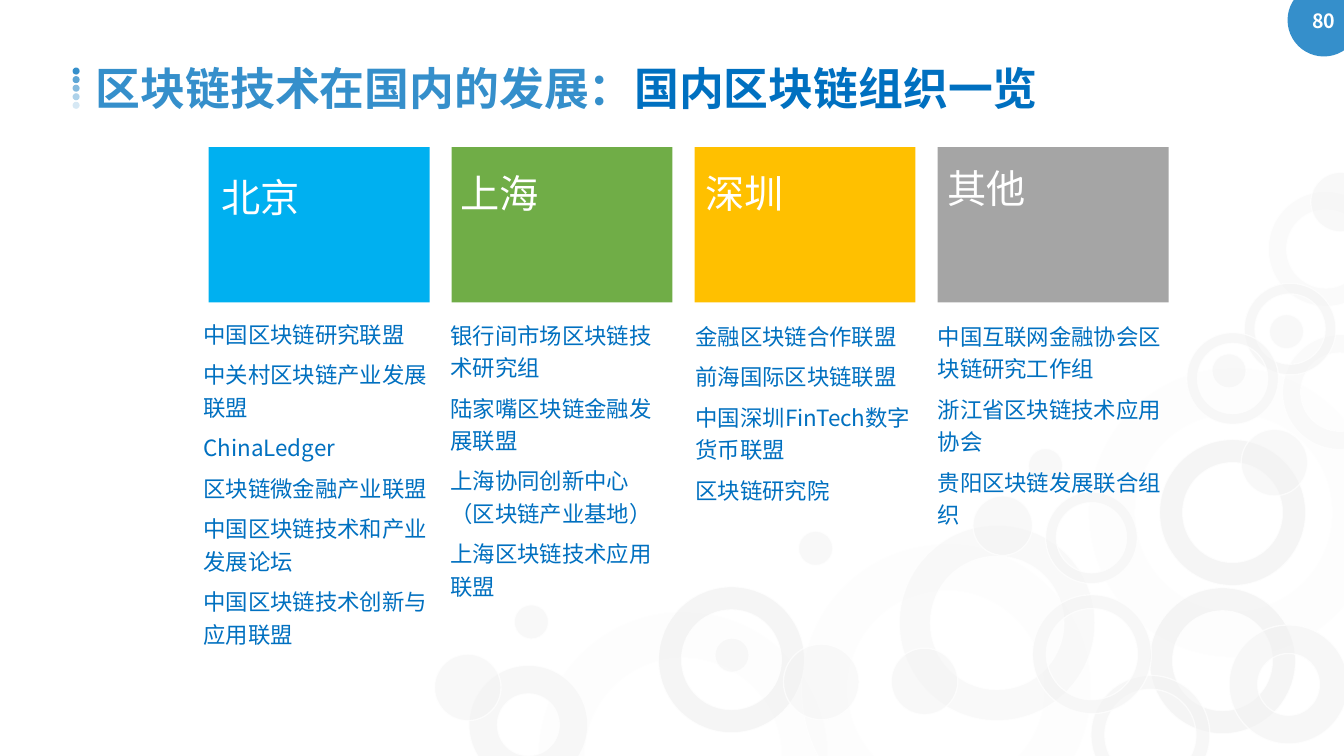
import pptx
import pptx.dml.color
import pptx.enum.shapes
import pptx.enum.text
import pptx.oxml
import pptx.oxml.ns
import pptx.util

inches = pptx.util.Inches
SHAPE = pptx.enum.shapes.MSO_SHAPE
ANCHOR = pptx.enum.text.MSO_ANCHOR
ALIGN = pptx.enum.text.PP_ALIGN
SANS = "Noto Sans CJK SC"
SERIF = "TeX Gyre Schola"
PALE, WHITE, SKY, BLUE = "F2F2F2", "FFFFFF", "358FCB", "0070C0"


def paint(fill, color, opacity=100):
    """Make a fill solid in a hex colour, with opacity in percent."""
    fill.solid()
    fill.fore_color.rgb = pptx.dml.color.RGBColor.from_string(color)
    if opacity < 100:
        tint = fill._xPr.find(".//" + pptx.oxml.ns.qn("a:srgbClr"))
        alpha = pptx.oxml.parse_xml(
            f'<a:alpha {pptx.oxml.ns.nsdecls("a")} val="{opacity * 1000}"/>')
        tint.append(alpha)


def write(shape, paragraphs, size, color=WHITE, bold=False, align=ALIGN.LEFT,
          anchor=ANCHOR.TOP, inset=(0.05, 0.05), spacing=1.0, gap=0):
    """Fill a shape with paragraphs: strings, or lists of (text, colour, font)."""
    frame = shape.text_frame
    frame.word_wrap = True
    frame.auto_size = pptx.enum.text.MSO_AUTO_SIZE.NONE
    frame.vertical_anchor = anchor
    frame.margin_left = frame.margin_right = inches(inset[0])
    frame.margin_top = frame.margin_bottom = inches(inset[1])
    for index, content in enumerate(paragraphs):
        paragraph = frame.add_paragraph() if index else frame.paragraphs[0]
        paragraph.alignment = align
        paragraph.line_spacing = spacing
        paragraph.space_before = pptx.util.Pt(gap if index else 0)
        runs = [(content, color, SANS)] if isinstance(content, str) else content
        for text, run_color, typeface in runs:
            run = paragraph.add_run()
            run.text = text
            run.font.size = pptx.util.Pt(size)
            run.font.bold = bold
            run.font.name = typeface
            paint(run.font.fill, run_color)
            run.font._element.find(pptx.oxml.ns.qn("a:latin")).addnext(
                pptx.oxml.parse_xml(
                    f'<a:ea {pptx.oxml.ns.nsdecls("a")} typeface="{typeface}"/>'))


deck = pptx.Presentation()
deck.slide_width, deck.slide_height = inches(13.33), inches(7.5)
slide = deck.slides.add_slide(deck.slide_layouts[5])
paint(slide.background.fill, WHITE)
shapes = slide.shapes

# Background bubbles: diameter, ring thickness (0 for a disc), opacity, corners
bubbles = [
    (2.87, 0.159, 13, [(5.34, 6.07), (7.95, 5.4), (10.8, 3.65)]),
    (1.94, 0.159, 42, [(8.92, 5.21)]),
    (1.45, 0.159, 75, [(11.5, 4.36), (6.53, 5.82), (11.4, 5.83)]),
    (1.14, 0.159, 31, [(12.72, 3.32), (12.58, 1.9)]),
    (1.18, 0.117, 54, [(10.82, 6.7), (10.24, 5.9)]),
    (0.91, 0.117, 54, [(12.34, 2.81), (10.37, 4.88), (11.77, 3.3)]),
    (1.18, 0.24, 54, [(12.19, 6.2), (4.65, 6.6)]),
    (0.75, 0, 39, [(7.77, 6.39)]),
    (0.66, 0, 47, [(12.31, 4.26), (4.31, 6.49), (8.84, 6.43)]),
    (0.59, 0, 47, [(9.65, 4.92), (13, 1.71)]),
    (0.34, 0, 47, [(12.02, 3.51), (7.92, 5.27), (7.09, 6.33), (10.2, 4.45),
                   (12.59, 3.12), (5.1, 6)]),
]
for diameter, thickness, opacity, corners in bubbles:
    for left, top in corners:
        bubble = shapes.add_shape(
            SHAPE.DONUT if thickness else SHAPE.OVAL,
            inches(left), inches(top), inches(diameter), inches(diameter))
        if thickness:
            bubble.adjustments[0] = thickness
        bubble.shadow.inherit = False
        paint(bubble.fill, PALE, opacity)
        paint(bubble.line.fill, WHITE, 70)
        bubble.line.width = pptx.util.Pt(1)

# Fading dots beside the title
for step in range(5):
    dot = shapes.add_shape(SHAPE.OVAL, inches(0.72), inches(0.67 + 0.085 * step),
                           inches(0.07), inches(0.07))
    dot.shadow.inherit = False
    paint(dot.fill, SKY, 100 - 20 * step)
    dot.line.fill.background()

page_badge = shapes.add_shape(SHAPE.OVAL, inches(12.77), inches(-0.16),
                              inches(0.72), inches(0.72))
page_badge.shadow.inherit = False
paint(page_badge.fill, SKY)
page_badge.line.fill.background()
write(page_badge, ["80"], 14, bold=True, align=ALIGN.CENTER,
      anchor=ANCHOR.MIDDLE)

heading = shapes.title
heading.left, heading.top = inches(0.85), inches(0.55)
heading.width, heading.height = inches(11.47), inches(0.64)
write(heading, [[("区块链技术在国内的发展：", SKY, SERIF),
                 ("国内区块链组织一览", BLUE, SANS)]],
      32, bold=True, inset=(0.1, 0.05))

# Regions: name, tile colour, tile width, name corner, list box, list anchor
regions = [
    ("北京", "00B0F0", 2.19, (2.15, 1.67), (2.02, 3.13, 2.27, 3.33), ANCHOR.TOP,
     ["中国区块链研究联盟", "中关村区块链产业发展联盟", "ChinaLedger",
      "区块链微金融产业联盟", "中国区块链技术和产业发展论坛",
      "中国区块链技术创新与应用联盟"]),
    ("上海", "70AD47", 2.19, (4.52, 1.63), (4.47, 3.14, 2.2, 2.84), ANCHOR.TOP,
     ["银行间市场区块链技术研究组", "陆家嘴区块链金融发展联盟",
      "上海协同创新中心（区块链产业基地）", "上海区块链技术应用联盟"]),
    ("深圳", "FFC000", 2.19, (6.95, 1.63), (6.9, 3.14, 2.23, 1.87), ANCHOR.MIDDLE,
     ["金融区块链合作联盟", "前海国际区块链联盟",
      "中国深圳FinTech数字货币联盟", "区块链研究院"]),
    ("其他", "A5A5A5", 2.29, (9.35, 1.58), (9.3, 3.14, 2.29, 2.11), ANCHOR.MIDDLE,
     ["中国互联网金融协会区块链研究工作组", "浙江省区块链技术应用协会",
      "贵阳区块链发展联合组织"]),
]
for column, region in enumerate(regions):
    name, color, width, corner, list_box, anchor, organizations = region
    tile = shapes.add_shape(SHAPE.RECTANGLE, inches(2.07 + 2.41 * column),
                            inches(1.46), inches(width), inches(1.54))
    tile.shadow.inherit = False
    paint(tile.fill, color)
    tile.line.fill.background()
    label = shapes.add_textbox(*map(inches, corner), inches(2.19), inches(0.66))
    write(label, [name], 28)
    listing = shapes.add_textbox(*map(inches, list_box))
    write(listing, organizations, 16, color=BLUE, anchor=anchor, inset=(0, 0),
          spacing=1.2, gap=6)

deck.save("out.pptx")
